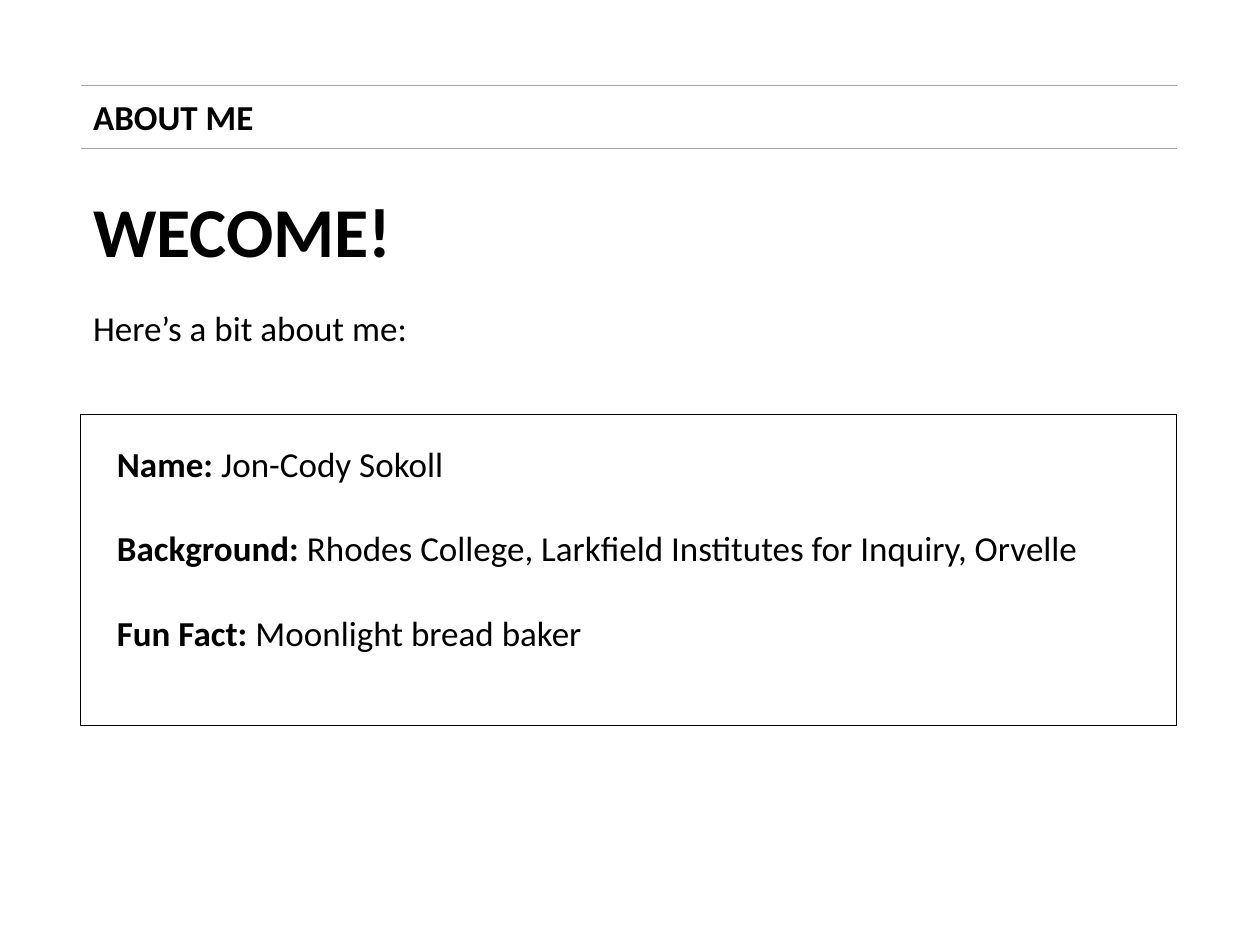
from collections import namedtuple

from pptx import Presentation
from pptx.dml.color import RGBColor
from pptx.enum.shapes import MSO_CONNECTOR, MSO_SHAPE
from pptx.enum.text import MSO_AUTO_SIZE
from pptx.oxml.ns import qn
from pptx.util import Inches, Pt
from lxml.etree import SubElement

BLACK = RGBColor(0x00, 0x00, 0x00)
RULE_GRAY = RGBColor(0xA6, 0xA6, 0xA6)
FONT = "Calibri"
BODY_SIZE = 20
TITLE_SIZE = 40
LINE_WIDTH = Pt(0.75)

SLIDE_WIDTH, SLIDE_HEIGHT = Inches(10), Inches(7.5)
COLUMN = SLIDE_WIDTH / 100
ROW = SLIDE_HEIGHT / 75

Box = namedtuple("Box", "left top width height")

HEADER = Box(6.4, 6.8, 87, 5)
INTRODUCTION = Box(6.4, 14.4, 87, 18)
PROFILE = Box(6.4, 32.9, 87, 24.7)

FACTS = [
    ("Name: ", "Jon-Cody Sokoll"),
    ("Background: ", "Rhodes College, Larkfield Institutes for Inquiry, Orvelle"),
    ("Fun Fact: ", "Moonlight bread baker"),
]


def to_lengths(box):
    """Turn grid columns and rows into slide lengths."""
    return (round(box.left * COLUMN), round(box.top * ROW),
            round(box.width * COLUMN), round(box.height * ROW))


def add_text(slide, box, paragraphs, size=BODY_SIZE, wrap=True, gap=0):
    """Add paragraphs, each a list of (text, bold) runs, with a gap between them."""
    frame = slide.shapes.add_textbox(*to_lengths(box)).text_frame
    frame.word_wrap = wrap
    frame.auto_size = MSO_AUTO_SIZE.SHAPE_TO_FIT_TEXT
    for index, runs in enumerate(paragraphs):
        paragraph = frame.add_paragraph() if index else frame.paragraphs[0]
        if index:
            paragraph.space_before = Pt(gap)
        for text, bold in runs:
            run = paragraph.add_run()
            run.text = text
            run.font.name = FONT
            run.font.size = Pt(size)
            run.font.bold = bold
            run.font.color.rgb = BLACK


def add_rule(slide, left, top, width):
    start_x, y, length, _ = to_lengths(Box(left, top, width, 0))
    rule = slide.shapes.add_connector(
        MSO_CONNECTOR.STRAIGHT, start_x, y, start_x + length, y)
    rule.line.color.rgb = RULE_GRAY
    rule.line.width = LINE_WIDTH
    SubElement(rule._element.spPr, qn("a:effectLst"))


def add_header(slide, box):
    for top in (box.top, box.top + box.height):
        add_rule(slide, box.left, top, box.width)
    label = Box(box.left, box.top + 0.3, 14.9, box.height - 0.6)
    add_text(slide, label, [[("ABOUT ME", True)]], wrap=False)


def add_introduction(slide, box):
    title = Box(box.left, box.top, 25.9, 7.7)
    add_text(slide, title, [[("WECOME!", True)]], size=TITLE_SIZE, wrap=False)
    lead = Box(box.left, box.top + 9.4, box.width, 4.4)
    add_text(slide, lead, [[("Here’s a bit about me:", False)]])


def add_profile(slide, box):
    border = slide.shapes.add_shape(MSO_SHAPE.RECTANGLE, *to_lengths(box))
    border.shadow.inherit = False
    border.fill.background()
    border.line.color.rgb = BLACK
    border.line.width = LINE_WIDTH
    inner = Box(box.left + 1.9, box.top + 1.7, box.width - 4, 17.8)
    facts = [[(label, True), (value, False)] for label, value in FACTS]
    add_text(slide, inner, facts, gap=24.4)


def main():
    presentation = Presentation()
    presentation.slide_width = SLIDE_WIDTH
    presentation.slide_height = SLIDE_HEIGHT
    slide = presentation.slides.add_slide(presentation.slide_layouts[6])
    add_header(slide, HEADER)
    add_introduction(slide, INTRODUCTION)
    add_profile(slide, PROFILE)
    presentation.save("out.pptx")


if __name__ == "__main__":
    main()
